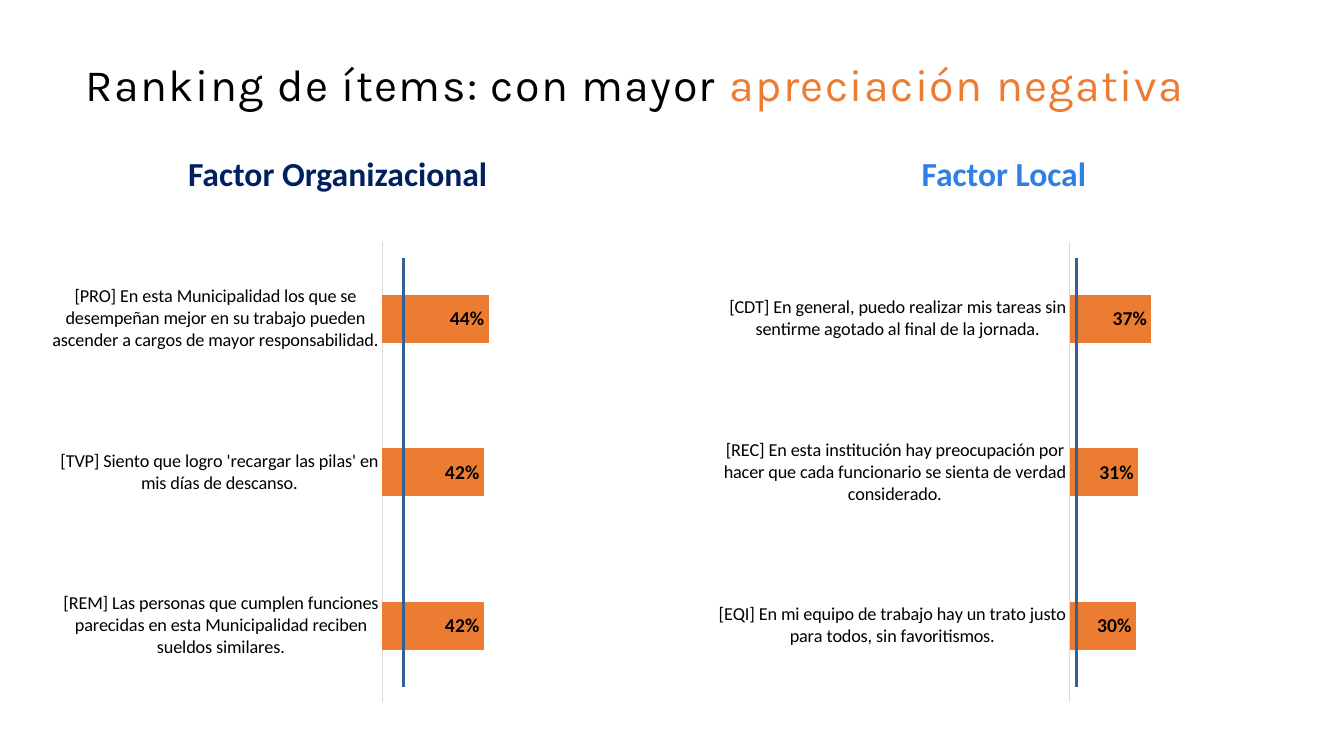
from lxml import etree
from pptx import Presentation
from pptx.chart.data import CategoryChartData
from pptx.dml.color import RGBColor
from pptx.enum.chart import XL_CHART_TYPE as ChartType
from pptx.enum.chart import XL_LABEL_POSITION as LabelPosition
from pptx.enum.chart import XL_TICK_MARK as TickMark
from pptx.enum.shapes import MSO_CONNECTOR as Connector
from pptx.enum.text import MSO_ANCHOR as Anchor
from pptx.enum.text import PP_ALIGN as Align
from pptx.oxml.ns import qn
from pptx.util import Cm, Pt

COLORS = {
    "black": "000000",
    "white": "FFFFFF",
    "orange": "EC7C31",
    "navy": "002060",
    "blue": "307FE2",
    "marker": "376092",
    "axis": "D9D9D9",
}

# Heading, heading colour, heading left, chart left, marker x, items from bottom to top
FACTORS = [
    ("Factor Organizacional", "navy", 2.11, 1.02, 10.16, [
        ("[REM] Las personas que cumplen funciones parecidas en esta "
         "Municipalidad reciben sueldos similares.", 0.42),
        ("[TVP] Siento que logro 'recargar las pilas' en mis días de descanso.", 0.42),
        ("[PRO] En esta Municipalidad los que se desempeñan mejor en su trabajo "
         "pueden ascender a cargos de mayor responsabilidad.", 0.44),
    ]),
    ("Factor Local", "blue", 18.9, 17.81, 27.13, [
        ("[EQI] En mi equipo de trabajo hay un trato justo para todos, "
         "sin favoritismos.", 0.30),
        ("[REC] En esta institución hay preocupación por hacer que cada "
         "funcionario se sienta de verdad considerado.", 0.31),
        ("[CDT] En general, puedo realizar mis tareas sin sentirme agotado "
         "al final de la jornada.", 0.37),
    ]),
]


def color(name):
    return RGBColor.from_string(COLORS[name])


def set_font(font, size, name="black", face="Calibri", bold=False):
    font.size = Pt(size)
    font.name = face
    font.bold = bold
    font.color.rgb = color(name)


def add_text(page, spans, left, top, width, height, size, face="Calibri",
             bold=False, align=Align.LEFT, spacing=None, margin=None):
    """Add a one-paragraph box; spans are (text, colour name) pairs."""
    box = page.shapes.add_textbox(Cm(left), Cm(top), Cm(width), Cm(height))
    frame = box.text_frame
    frame.word_wrap = True
    frame.vertical_anchor = Anchor.MIDDLE
    if margin is not None:
        frame.margin_left = frame.margin_right = Cm(margin)
        frame.margin_top = frame.margin_bottom = Cm(margin)
    para = frame.paragraphs[0]
    para.alignment = align
    para.line_spacing = 0.9
    for text, name in spans:
        span = para.add_run()
        span.text = text
        set_font(span.font, size, name, face, bold)
        if spacing:
            span.font._element.set("spc", str(spacing * 100))


def add_ranking(page, items, left):
    data = CategoryChartData(number_format="0%")
    data.categories = [label for label, share in items]
    data.add_series("Series 1", [share for label, share in items])
    chart = page.shapes.add_chart(ChartType.BAR_CLUSTERED, Cm(left), Cm(5.87),
                                  Cm(15.01), Cm(12.07), data).chart
    chart.has_title = False
    chart.has_legend = False
    set_font(chart.font, 10, "white")

    # Axes
    items_axis = chart.category_axis
    items_axis.major_tick_mark = items_axis.minor_tick_mark = TickMark.NONE
    items_axis.format.line.color.rgb = color("axis")
    items_axis.format.line.width = Pt(0.75)
    set_font(items_axis.tick_labels.font, 13)
    share_axis = chart.value_axis
    share_axis.minimum_scale, share_axis.maximum_scale = 0, 1
    share_axis.has_major_gridlines = False
    share_axis.visible = False

    # Bars and their labels
    plot = chart.plots[0]
    plot.gap_width = 219
    plot.vary_by_categories = False
    bars = plot.series[0]
    bars.format.fill.solid()
    bars.format.fill.fore_color.rgb = color("orange")
    labels = bars.data_labels
    labels.show_value = True
    labels.number_format = "0%"
    labels.number_format_is_linked = False
    labels.position = LabelPosition.INSIDE_END
    set_font(labels.font, 14, bold=True)


def add_marker(page, x):
    marker = page.shapes.add_connector(Connector.STRAIGHT, Cm(x), Cm(17.3), Cm(x), Cm(6.5))
    marker.line.color.rgb = color("marker")
    marker.line.width = Pt(2)
    etree.SubElement(marker._element.spPr, qn("a:effectLst"))


def main():
    deck = Presentation()
    deck.slide_width, deck.slide_height = Cm(33.87), Cm(19.05)
    page = deck.slides.add_slide(deck.slide_layouts[6])

    # Title
    add_text(page, [("Ranking de ítems: con mayor ", "black"),
                    ("apreciación negativa", "orange")],
             2.16, 0.86, 29.92, 2.69, size=32, face="Karla", spacing=1, margin=0)

    # One heading, chart and marker line for each factor
    for heading, name, heading_left, chart_left, marker_x, items in FACTORS:
        add_text(page, [(heading, name)], heading_left, 4.01, 12.8, 0.84,
                 size=24, bold=True, align=Align.CENTER)
        add_ranking(page, items, chart_left)
        add_marker(page, marker_x)

    deck.save("out.pptx")


if __name__ == "__main__":
    main()
